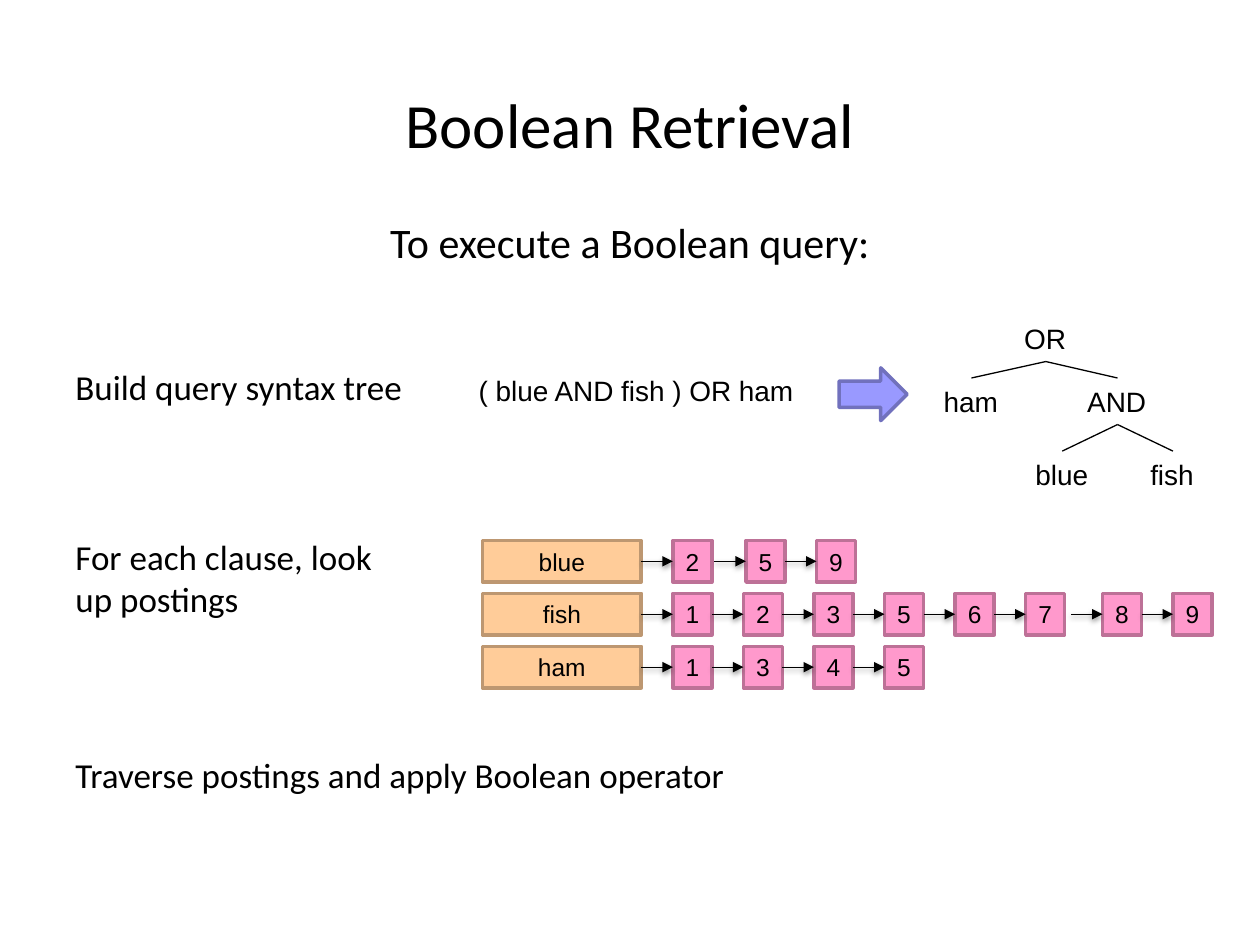
from lxml import etree
from pptx import Presentation
from pptx import util as u
from pptx.dml.color import RGBColor
from pptx.enum import shapes, text
from pptx.oxml.ns import qn

BLACK = RGBColor(0x00, 0x00, 0x00)
PEACH = RGBColor(0xFF, 0xCC, 0x99)
BROWN = RGBColor(0xBD, 0x97, 0x71)
PINK = RGBColor(0xFF, 0x99, 0xCC)
MAUVE = RGBColor(0xBD, 0x71, 0x97)
BLUE = RGBColor(0x99, 0x99, 0xFF)
NAVY = RGBColor(0x71, 0x71, 0xBD)

TITLE = "Boolean Retrieval"
INTRO = "To execute a Boolean query:"
STEPS = [
    ("Build query syntax tree", 205.2, 216, 31.7),
    ("For each clause, look up postings", 302.4, 198, 55.4),
    ("Traverse postings and apply Boolean operator", 427, 414, 31.7),
]
QUERY = "( blue AND fish ) OR ham"
NODES = [
    ("blue", 584.6, 257.8, 44.6),
    ("fish", 650.2, 257.8, 39.6),
    ("AND", 614.2, 216, 48.2),
    ("ham", 532.1, 216, 46.1),
    ("OR", 578.2, 180, 38.9),
]
EDGES = [
    ((597.6, 206.6), (555.1, 216)),
    ((597.6, 206.6), (638.6, 216)),
    ((638.6, 242.6), (670.3, 257.8)),
    ((638.6, 242.6), (607, 257.8)),
]
# term, postings, index where the row's extra gap begins, extra gap
LISTS = [
    ("blue", [2, 5, 9], 1, 1.44),
    ("fish", [1, 2, 3, 5, 6, 7, 8, 9], 6, 3.6),
    ("ham", [1, 3, 4, 5], 0, 0),
]
TERM_X, TERM_W = 275.76, 90.72
ROW_Y, ROW_GAP, BOX_H = 308.88, 30.24, 23.76
BOX_X, BOX_GAP, BOX_W = 384.48, 40.32, 22.32
LINK = 18


def pts(*vals):
    return [u.Pt(v) for v in vals]


def write(shape, words, size=16, font="Arial", align=None, wrap=False, grow=False):
    frame = shape.text_frame
    frame.word_wrap = wrap
    if grow:
        frame.auto_size = text.MSO_AUTO_SIZE.SHAPE_TO_FIT_TEXT
    para = frame.paragraphs[0]
    para.alignment = align
    run = para.add_run()
    run.text = words
    run.font.size = u.Pt(size)
    run.font.name = font
    run.font.color.rgb = BLACK


def label(home, words, x, y, w, h, **fmt):
    write(home.add_textbox(*pts(x, y, w, h)), words, grow=True, **fmt)


def block(home, kind, x, y, w, h, fill, edge):
    shape = home.add_shape(kind, *pts(x, y, w, h))
    shape.shadow.inherit = False
    shape.fill.solid()
    shape.fill.fore_color.rgb = fill
    shape.line.color.rgb = edge
    shape.line.width = u.Pt(2)
    return shape


def box(home, words, x, y, w, fill, edge):
    shape = block(home, shapes.MSO_SHAPE.RECTANGLE, x, y, w, BOX_H, fill, edge)
    shape.text_frame.vertical_anchor = text.MSO_ANCHOR.MIDDLE
    write(shape, words, size=14, align=text.PP_ALIGN.CENTER)


def link(home, start, end, arrow=False):
    line = home.add_connector(shapes.MSO_CONNECTOR.STRAIGHT, *pts(*start, *end))
    line.line.color.rgb = BLACK
    line.line.width = u.Pt(0.75)
    props = line.element.spPr
    effect = etree.SubElement(props, qn("a:effectLst"))
    if arrow:
        etree.SubElement(props.find(qn("a:ln")), qn("a:tailEnd"), type="triangle")
        shade = etree.SubElement(effect, qn("a:outerShdw"), blurRad=str(u.Pt(3.1)),
                                 dist=str(u.Pt(1.6)), dir="5400000", rotWithShape="0")
        tint = etree.SubElement(shade, qn("a:srgbClr"), val=str(BLACK))
        etree.SubElement(tint, qn("a:alpha"), val="38000")


def draw_tree(home):
    for words, x, y, w in NODES:
        label(home, words, x, y, w, 26.6)
    for start, end in EDGES:
        link(home, start, end)


def draw_lists(home):
    for row, (term, posts, split, extra) in enumerate(LISTS):
        y = ROW_Y + row * ROW_GAP
        mid = y + BOX_H / 2
        box(home, term, TERM_X, y, TERM_W, PEACH, BROWN)
        for col, post in enumerate(posts):
            x = BOX_X + col * BOX_GAP + (extra if col >= split else 0)
            box(home, str(post), x, y, BOX_W, PINK, MAUVE)
            link(home, (x - LINK, mid), (x, mid), arrow=True)


def main():
    deck = Presentation()
    deck.slide_width, deck.slide_height = pts(720, 540)
    slide = deck.slides.add_slide(deck.slide_layouts[5])
    home = slide.shapes

    title = home.title
    title.left, title.top, title.width, title.height = pts(0, 43.2, 720, 54)
    write(title, TITLE, size=36, font="Calibri", align=text.PP_ALIGN.CENTER, wrap=True)
    label(home, INTRO, 0, 120.2, 720, 36, size=24, font="Calibri",
          align=text.PP_ALIGN.CENTER, wrap=True)
    for words, y, w, h in STEPS:
        label(home, words, 36, y, w, h, size=20, font="Calibri", wrap=True)

    label(home, QUERY, 266.4, 210.2, 196.6, 26.6)
    block(home, shapes.MSO_SHAPE.RIGHT_ARROW, 479.5, 210.2, 38.9, 30.2, BLUE, NAVY)
    draw_tree(home.add_group_shape().shapes)
    draw_lists(home.add_group_shape().shapes)
    deck.save("out.pptx")


if __name__ == "__main__":
    main()
